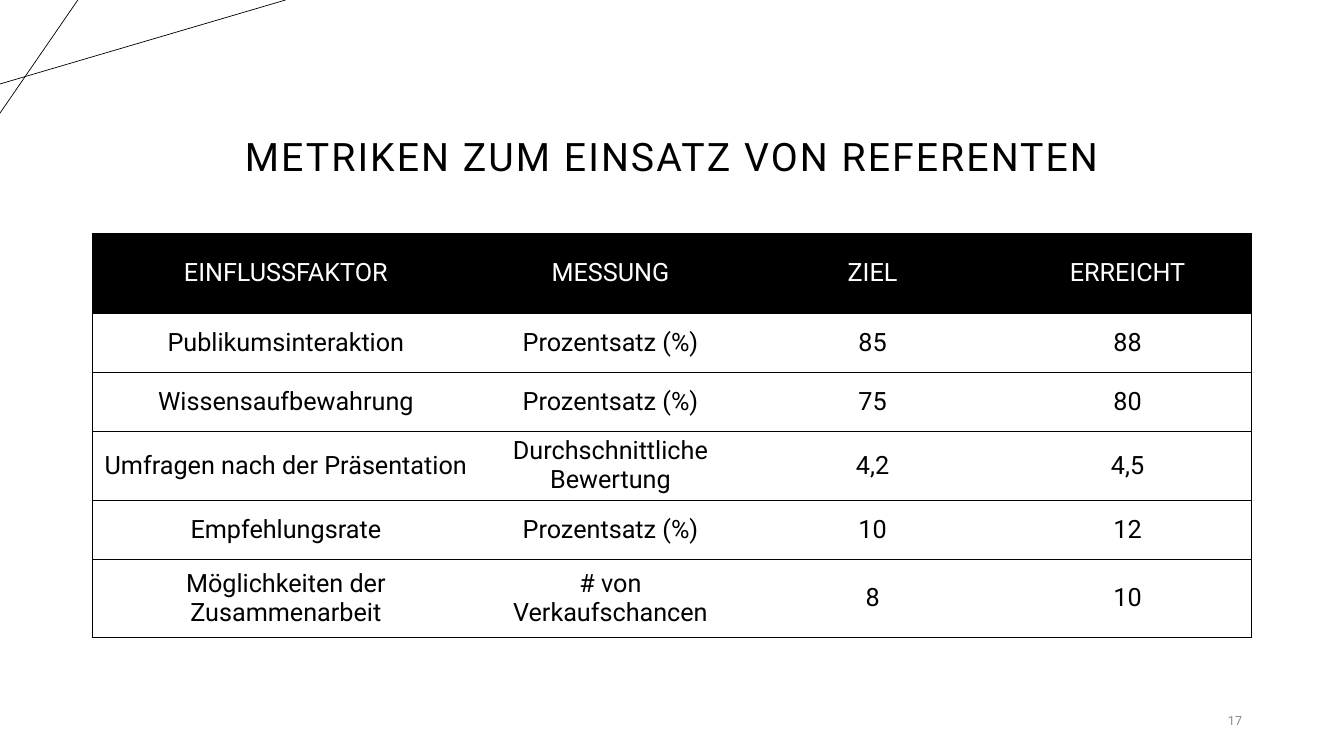
from pptx import Presentation
from pptx.dml.color import RGBColor
from pptx.enum.shapes import MSO_CONNECTOR as Link
from pptx.enum.text import MSO_ANCHOR as Anchor, PP_ALIGN as Align
from pptx.oxml import parse_xml
from pptx.oxml.ns import nsdecls
from pptx.util import Pt

BLACK = RGBColor(0x00, 0x00, 0x00)
WHITE = RGBColor(0xFF, 0xFF, 0xFF)
GRAY = RGBColor(0x8C, 0x8C, 0x8C)
FONT = "Roboto"


def style(frame, size, color, align, anchor):
    frame.word_wrap = True
    frame.vertical_anchor = anchor
    para = frame.paragraphs[0]
    para.alignment = align
    font = para.runs[0].font
    font.name, font.size, font.bold = FONT, Pt(size), False
    font.color.rgb = color


def border(cell, side, shown):
    fill = f'<a:solidFill><a:srgbClr val="{BLACK}"/></a:solidFill>' if shown else "<a:noFill/>"
    cell._tc.get_or_add_tcPr().append(
        parse_xml(f'<a:ln{side} {nsdecls("a")} w="6350">{fill}</a:ln{side}>'))


deck = Presentation()
deck.slide_width, deck.slide_height = Pt(960), Pt(540)
slide = deck.slides.add_slide(deck.slide_layouts[5])
shapes = slide.shapes

for x1, y1, x2, y2 in [(0, 60, 204, 0), (55.6, 0, 0, 80.8)]:
    line = shapes.add_connector(Link.STRAIGHT, Pt(x1), Pt(y1), Pt(x2), Pt(y2))
    line.line.color.rgb = BLACK
    line.line.width = Pt(0.5)
    line._element.spPr.append(parse_xml(f'<a:effectLst {nsdecls("a")}/>'))

title = shapes.title
title.left, title.top, title.width, title.height = Pt(66), Pt(28), Pt(828), Pt(104.5)
title.text_frame.text = "METRIKEN ZUM EINSATZ VON REFERENTEN"
style(title.text_frame, 28, BLACK, Align.CENTER, Anchor.BOTTOM)
head = title.text_frame.paragraphs[0]
head.line_spacing = 0.9
head.runs[0].font._element.set("spc", "150")

rows = [
    ("EINFLUSSFAKTOR", "MESSUNG", "ZIEL", "ERREICHT"),
    ("Publikumsinteraktion", "Prozentsatz (%)", "85", "88"),
    ("Wissensaufbewahrung", "Prozentsatz (%)", "75", "80"),
    ("Umfragen nach der Präsentation", "Durchschnittliche Bewertung", "4,2", "4,5"),
    ("Empfehlungsrate", "Prozentsatz (%)", "10", "12"),
    ("Möglichkeiten der Zusammenarbeit", "# von Verkaufschancen", "8", "10"),
]
widths = [276.5, 187.2, 187.2, 177.1]
heights = [57.6, 42, 42, 49.4, 42, 56.2]
table = shapes.add_table(len(rows), len(widths), Pt(66), Pt(166.3),
                         Pt(sum(widths)), Pt(sum(heights))).table
for col, width in zip(table.columns, widths):
    col.width = Pt(width)
for row, height in zip(table.rows, heights):
    row.height = Pt(height)

last = len(widths) - 1
for r, row in enumerate(rows):
    for c, text in enumerate(row):
        cell = table.cell(r, c)
        cell.text_frame.text = text
        style(cell.text_frame, 18, BLACK if r else WHITE, Align.CENTER, Anchor.MIDDLE)
        cell.vertical_anchor = Anchor.MIDDLE
        for side, shown in [("L", c == 0), ("R", c == last), ("T", True), ("B", True)]:
            border(cell, side, shown)
        cell.fill.solid()
        cell.fill.fore_color.rgb = WHITE if r else BLACK

page = shapes.add_textbox(Pt(816.5), Pt(500.4), Pt(77.8), Pt(28.8))
page.text_frame.text = "17"
style(page.text_frame, 9, GRAY, Align.RIGHT, Anchor.MIDDLE)

deck.save("out.pptx")
